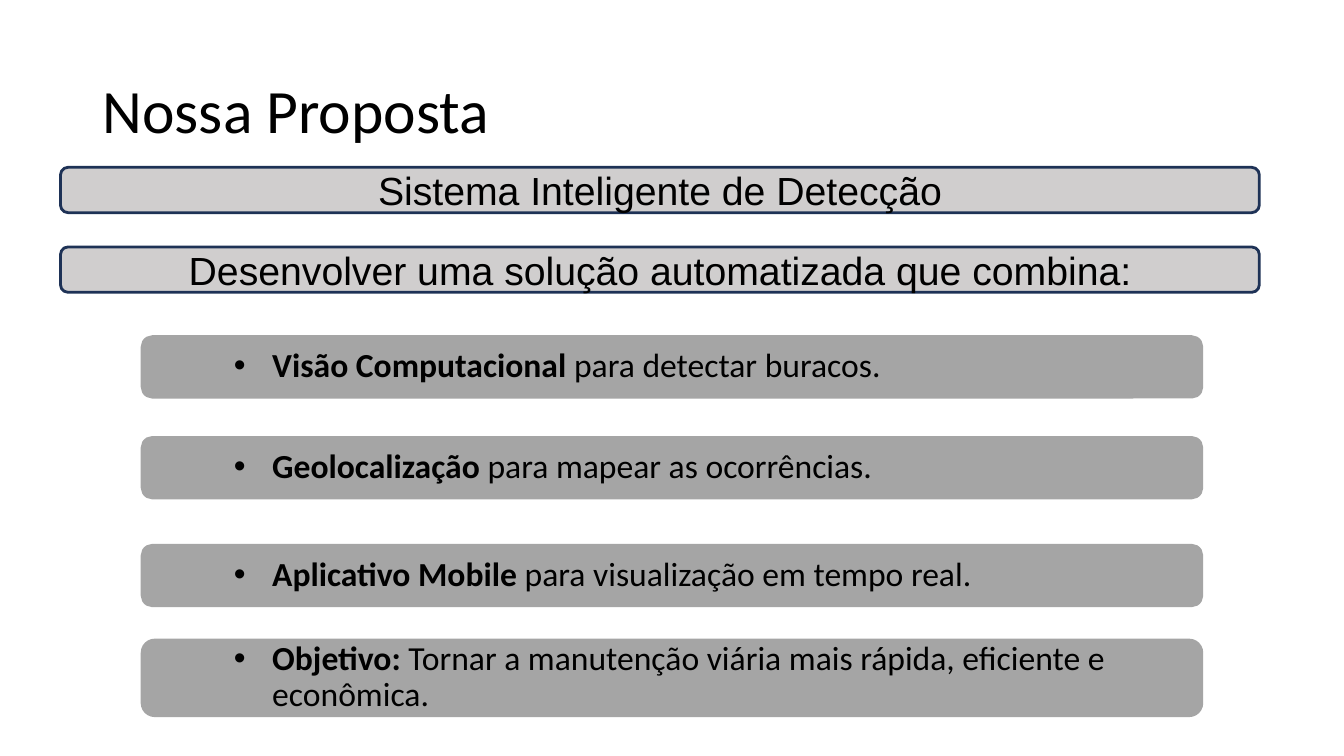
from pptx import Presentation
from pptx import util as u
from pptx.dml.color import RGBColor
from pptx.enum import shapes, text
from pptx.oxml.ns import qn
from lxml import etree

BLACK = RGBColor(0x00, 0x00, 0x00)
NAVY = RGBColor(0x1E, 0x32, 0x56)
LIGHT_GRAY = RGBColor(0xD0, 0xCE, 0xCE)
GRAY = RGBColor(0xA5, 0xA5, 0xA5)

BANNERS = [
    (1.66, "Sistema Inteligente de Detecção"),
    (2.45, "Desenvolver uma solução automatizada que combina:"),
]
# top, height, bold lead, remaining words
ITEMS = [
    (3.34, 0.6, "Visão Computacional", " para detectar buracos."),
    (4.34, 0.6, "Geolocalização", " para mapear as ocorrências."),
    (5.41, 0.6, "Aplicativo Mobile", " para visualização em tempo real."),
    (6.35, 0.75, "Objetivo:",
     " Tornar a manutenção viária mais rápida, eficiente e econômica."),
]


class ProposalSlide:
    heading_font = "Calibri"
    banner_font = "Arial"

    def __init__(self, deck):
        self.slide = deck.slides.add_slide(deck.slide_layouts[6])

    def style_span(self, span, font, size, bold=False):
        span.font.name = font
        span.font.size = u.Pt(size)
        span.font.bold = bold
        span.font.color.rgb = BLACK

    def text_box(self, parent, left, top, width, height, inset_x, inset_y):
        box = parent.add_textbox(*map(u.Inches, (left, top, width, height)))
        frame = box.text_frame
        frame.word_wrap = True
        frame.vertical_anchor = text.MSO_ANCHOR.MIDDLE
        frame.margin_left = frame.margin_right = u.Inches(inset_x)
        frame.margin_top = frame.margin_bottom = u.Inches(inset_y)
        para = frame.paragraphs[0]
        para.line_spacing = 0.9
        return para

    def rounded_bar(self, parent, left, top, width, height, fill, line):
        bar = parent.add_shape(shapes.MSO_SHAPE.ROUNDED_RECTANGLE,
                               *map(u.Inches, (left, top, width, height)))
        bar.shadow.inherit = False
        bar.fill.solid()
        bar.fill.fore_color.rgb = fill
        bar.line.color.rgb = line
        bar.line.width = u.Pt(2)
        return bar

    def title(self, words):
        para = self.text_box(self.slide.shapes, 0.92, 0.4, 11.5, 1.45, 0.1, 0.05)
        para.text = words
        self.style_span(para.runs[0], self.heading_font, 44)

    def banner(self, top, words):
        bar = self.rounded_bar(self.slide.shapes, 0.6, top, 11.89, 0.45,
                               LIGHT_GRAY, NAVY)
        frame = bar.text_frame
        frame.word_wrap = True
        frame.vertical_anchor = text.MSO_ANCHOR.MIDDLE
        frame.text = words
        para = frame.paragraphs[0]
        para.alignment = text.PP_ALIGN.CENTER
        self.style_span(para.runs[0], self.banner_font, 28)

    def add_bullet(self, para):
        props = para._p.get_or_add_pPr()
        props.set("marL", str(u.Inches(1)))
        props.set("indent", str(u.Inches(-0.38)))
        color = etree.SubElement(props, qn("a:buClr"))
        etree.SubElement(color, qn("a:srgbClr"), val=str(BLACK))
        etree.SubElement(props, qn("a:buFont"), typeface="Arial")
        etree.SubElement(props, qn("a:buChar"), char="•")

    def item(self, top, height, lead, rest):
        group = self.slide.shapes.add_group_shape().shapes
        self.rounded_bar(group, 1.41, top, 10.51, height, GRAY, GRAY)
        para = self.text_box(group, 1.52, top + 0.03, 10.28, height - 0.06,
                             0.18, 0.1)
        para.level = 1
        self.add_bullet(para)
        for words, bold in ((lead, True), (rest, False)):
            span = para.add_run()
            span.text = words
            self.style_span(span, self.heading_font, 24, bold)


def main():
    deck = Presentation()
    deck.slide_width = u.Inches(13.33)
    deck.slide_height = u.Inches(7.5)
    page = ProposalSlide(deck)
    page.title("Nossa Proposta")
    for banner in BANNERS:
        page.banner(*banner)
    for item in ITEMS:
        page.item(*item)
    deck.save("out.pptx")


if __name__ == "__main__":
    main()
